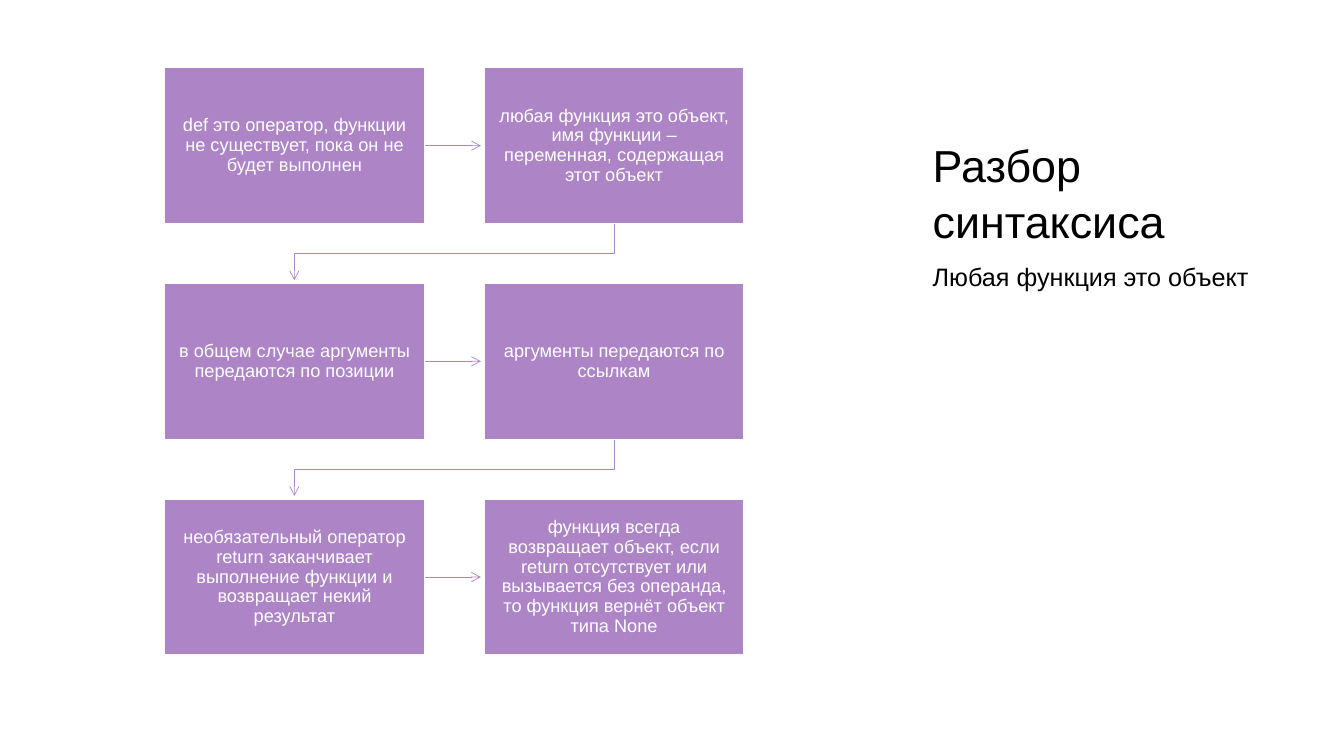
from lxml import etree
from pptx import Presentation
from pptx import util as u
from pptx.dml.color import RGBColor
from pptx.enum import shapes, text
from pptx.oxml.ns import qn

COLORS = {"box": "AD84C6", "paper": "FFFFFF", "ink": "000000"}
FONT = "Arial"

# Flow grid, in inches
LEFT, TOP = 1.63, 0.67
BOX_W, BOX_H, GAP = 2.58, 1.55, 0.59
COLS = 2
CLEAR = 0.03  # space between an arrowhead and its box

STEPS = [
    "def это оператор, функции не существует, пока он не будет выполнен",
    "любая функция это объект, имя функции – переменная, содержащая этот объект",
    "в общем случае аргументы передаются по позиции",
    "аргументы передаются по ссылкам",
    "необязательный оператор return заканчивает выполнение функции и "
    "возвращает некий результат",
    "функция всегда возвращает объект, если return отсутствует или "
    "вызывается без операнда, то функция вернёт объект типа None",
]


def rgb(name):
    return RGBColor.from_string(COLORS[name])


def write(sp, words, size, color="ink", align=text.PP_ALIGN.LEFT,
          anchor=text.MSO_ANCHOR.TOP, inset=0, spacing=1.0, before=0):
    tf = sp.text_frame
    tf.word_wrap = True
    tf.auto_size = text.MSO_AUTO_SIZE.NONE
    tf.vertical_anchor = anchor
    tf.margin_left = tf.margin_right = u.Inches(inset)
    tf.margin_top = tf.margin_bottom = u.Inches(inset)
    p = tf.paragraphs[0]
    p.alignment, p.line_spacing, p.space_before = align, spacing, u.Pt(before)
    r = p.add_run()
    r.text = words
    r.font.name, r.font.size = FONT, u.Pt(size)
    r.font.color.rgb = rgb(color)
    return p


class FlowSlide:
    def __init__(self, prs):
        self.s = prs.slides.add_slide(prs.slide_layouts[1])

    def cell(self, i):
        row, col = divmod(i, COLS)
        return LEFT + col * (BOX_W + GAP), TOP + row * (BOX_H + GAP)

    def place(self, sp, x, y, w, h):
        sp.left, sp.top, sp.width, sp.height = map(u.Inches, (x, y, w, h))

    def title(self, words, *box):
        sp = self.s.shapes.title
        self.place(sp, *box)
        write(sp, words, 32, anchor=text.MSO_ANCHOR.BOTTOM, spacing=1.05)

    def body(self, words, *box):
        sp = self.s.placeholders[1]
        self.place(sp, *box)
        pPr = write(sp, words, 18, spacing=1.1, before=8)._p.get_or_add_pPr()
        pPr.set("marL", "0")
        pPr.set("indent", "0")
        etree.SubElement(pPr, qn("a:buNone"))

    def box(self, i, words):
        x, y = self.cell(i)
        sp = self.s.shapes.add_shape(shapes.MSO_SHAPE.RECTANGLE, *map(
            u.Inches, (x, y, BOX_W, BOX_H)))
        sp.shadow.inherit = False
        sp.fill.solid()
        sp.fill.fore_color.rgb = rgb("box")
        sp.line.color.rgb = rgb("paper")
        sp.line.width = u.Pt(1)
        write(sp, words, 13, "paper", text.PP_ALIGN.CENTER,
              text.MSO_ANCHOR.MIDDLE, 0.13, 0.9)

    def arrow_line(self, sp):
        sp.line.color.rgb = rgb("box")
        sp.line.width = u.Pt(0.5)
        etree.SubElement(sp.line._get_or_add_ln(), qn("a:tailEnd"), type="arrow")

    def across(self, i):
        x, y = self.cell(i)
        start, mid = x + BOX_W, y + BOX_H / 2
        sp = self.s.shapes.add_connector(shapes.MSO_CONNECTOR.STRAIGHT, *map(
            u.Inches, (start, mid, start + GAP - CLEAR, mid)))
        self.arrow_line(sp)
        etree.SubElement(sp._element.spPr, qn("a:effectLst"))

    def wrap(self, i):
        x, y = self.cell(i)
        x1, y1 = x + BOX_W / 2, y + BOX_H
        x2 = LEFT + BOX_W / 2
        turn, end = y1 + GAP / 2, y1 + GAP - CLEAR
        fb = self.s.shapes.build_freeform(u.Inches(x1), u.Inches(y1))
        fb.add_line_segments([(u.Inches(a), u.Inches(b)) for a, b in
                              ((x1, turn), (x2, turn), (x2, end))], close=False)
        sp = fb.convert_to_shape()
        sp.shadow.inherit = False
        sp.fill.background()
        self.arrow_line(sp)


prs = Presentation()
prs.slide_width, prs.slide_height = u.Inches(13.33), u.Inches(7.5)
slide = FlowSlide(prs)

# Heading column
slide.title("Разбор синтаксиса", 9.25, 0.66, 3.46, 1.8)
slide.body("Любая функция это объект", 9.25, 2.56, 3.46, 3.94)

# Steps, each with an arrow to the next
for i, step in enumerate(STEPS):
    if i < len(STEPS) - 1:
        draw = slide.wrap if i % COLS == COLS - 1 else slide.across
        draw(i)
    slide.box(i, step)
# The last row's arrow is drawn with its first step

prs.save("out.pptx")
